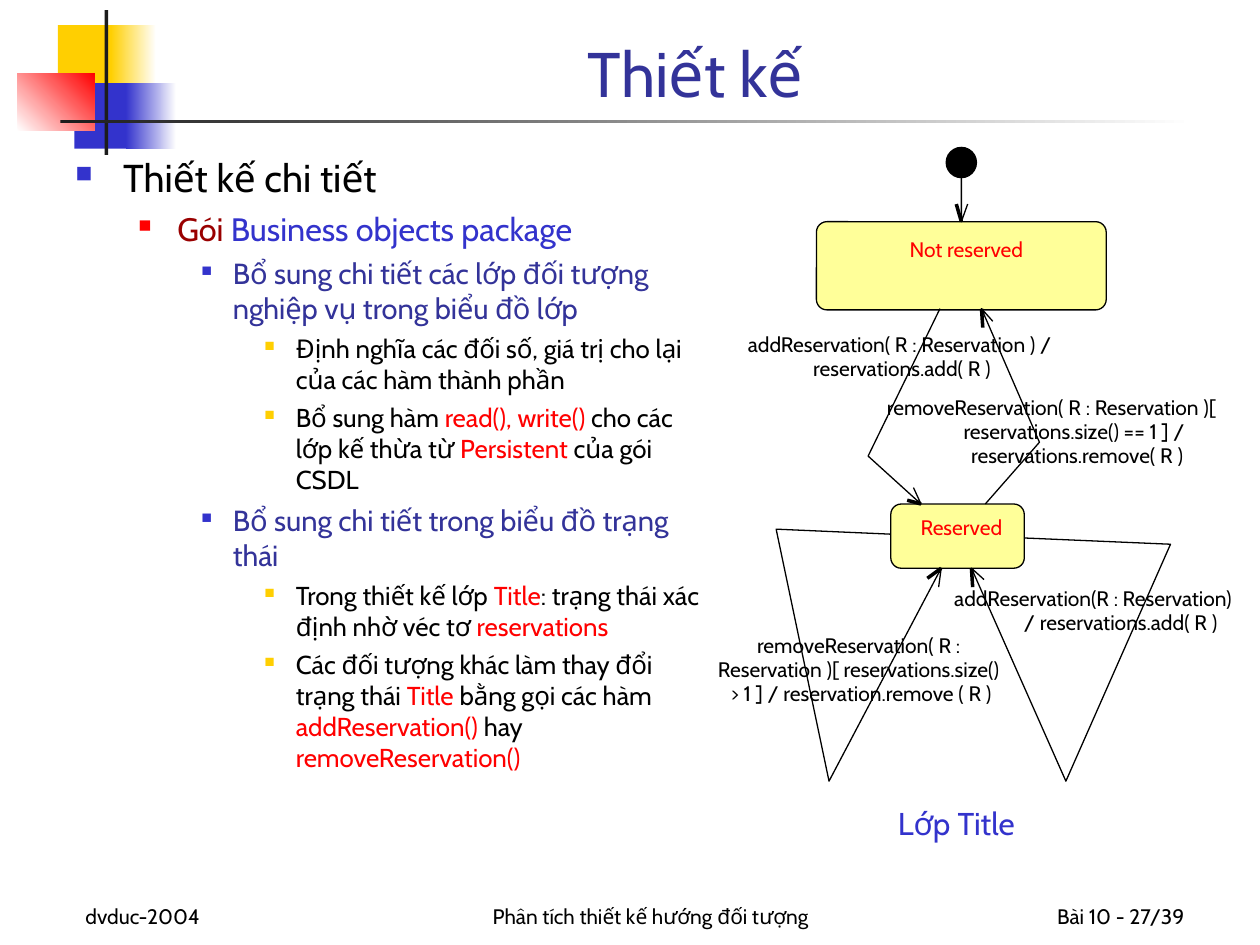
from dataclasses import dataclass
from typing import Optional

from lxml import etree
from pptx import Presentation
from pptx import util as u
from pptx.dml.color import RGBColor
from pptx.enum import shapes, text
from pptx.oxml.ns import qn

FONT = "Cabin"
BLACK = RGBColor(0x00, 0x00, 0x00)
WHITE = RGBColor(0xFF, 0xFF, 0xFF)
CHARCOAL = RGBColor(0x1C, 0x1C, 0x1C)
RED = RGBColor(0xFF, 0x00, 0x00)
MAROON = RGBColor(0x99, 0x00, 0x00)
GOLD = RGBColor(0xFF, 0xCF, 0x01)
BLUE = RGBColor(0x33, 0x33, 0xCC)
NAVY = RGBColor(0x33, 0x33, 0x99)
PALE_YELLOW = RGBColor(0xFF, 0xFF, 0x99)

LEFT, CENTER, RIGHT = text.PP_ALIGN.LEFT, text.PP_ALIGN.CENTER, text.PP_ALIGN.RIGHT
TOP, BOTTOM = text.MSO_ANCHOR.TOP, text.MSO_ANCHOR.BOTTOM
RECT = shapes.MSO_SHAPE.RECTANGLE
ROUNDED = shapes.MSO_SHAPE.ROUNDED_RECTANGLE
LABEL_PITCH = 0.19
LABEL_HEIGHT = 0.2


@dataclass(frozen=True)
class Ornament:
    at: tuple
    start: RGBColor
    end: Optional[RGBColor] = None
    angle: int = 0


@dataclass(frozen=True)
class Level:
    margin: float
    hanging: float
    size: float
    before: float
    bullet: RGBColor
    percent: int


@dataclass(frozen=True)
class State:
    name: str
    at: tuple
    corner: float
    name_at: tuple


@dataclass(frozen=True)
class Transition:
    route: tuple
    barbs: tuple


@dataclass(frozen=True)
class Label:
    top: float
    lines: tuple


ORNAMENTS = (
    Ornament((0.46, 0.2, 0.48, 0.52), GOLD),
    Ornament((0.88, 0.2, 0.36, 0.52), GOLD, WHITE),
    Ornament((0.59, 0.66, 0.46, 0.52), BLUE),
    Ornament((1, 0.66, 0.4, 0.52), BLUE, WHITE),
    Ornament((0.14, 0.58, 0.61, 0.46), WHITE, RED, 45),
    Ornament((0.83, 0.08, 0.03, 1.15), CHARCOAL),
    Ornament((0.48, 0.95, 9, 0.03), CHARCOAL, WHITE),
)
LEVELS = (
    Level(0.38, 0.38, 22.2, 6, BLUE, 60),
    Level(0.81, 0.31, 18.5, 5, RED, 55),
    Level(1.25, 0.25, 16.6, 4.5, BLUE, 50),
    Level(1.75, 0.25, 14.8, 4, GOLD, 55),
)
OUTLINE = (
    (0, [("Thiết kế chi tiết", BLACK)]),
    (1, [("Gói ", MAROON), ("Business objects package", BLUE)]),
    (2, [("Bổ sung chi tiết các lớp đối tượng nghiệp vụ trong biểu đồ lớp", NAVY)]),
    (3, [("Định nghĩa các đối số, giá trị cho lại của các hàm thành phần", BLACK)]),
    (3, [("Bổ sung hàm ", BLACK), ("read(), write()", RED), (" cho các lớp kế thừa từ ", BLACK),
         ("Persistent", RED), (" của gói CSDL", BLACK)]),
    (2, [("Bổ sung chi tiết trong biểu đồ trạng thái", NAVY)]),
    (3, [("Trong thiết kế lớp ", BLACK), ("Title", RED),
         (": trạng thái xác định nhờ véc tơ ", BLACK), ("reservations", RED)]),
    (3, [("Các đối tượng khác làm thay đổi trạng thái ", BLACK), ("Title", RED),
         (" bằng gọi các hàm ", BLACK), ("addReservation()", RED), (" hay ", BLACK),
         ("removeReservation()", RED)]),
)
NOT_RESERVED = State("Not reserved", (6.48, 1.76, 2.3, 0.7), 0.119, (7.16, 1.88, 1.02, 0.2))
RESERVED = State("Reserved", (7.07, 4, 1.06, 0.51), 0.163, (7.27, 4.08, 0.72, 0.2))
INITIAL = Transition(((7.63, 1.4), (7.63, 1.76)), ((7.68, 1.62), (7.59, 1.62)))
TRANSITIONS = (
    Transition(((7.82, 4), (8.25, 3.51), (7.79, 2.45)), ((7.88, 2.55), (7.8, 2.6))),
    Transition(((8.13, 4.27), (9.29, 4.32), (8.46, 6.2), (7.71, 4.51)),
               ((7.81, 4.6), (7.72, 4.66))),
    Transition(((7.07, 4.24), (6.16, 4.2), (6.58, 6.2), (7.47, 4.51)),
               ((7.45, 4.66), (7.36, 4.59))),
    Transition(((7.46, 2.45), (6.89, 3.62), (7.31, 4)), ((7.25, 3.87), (7.2, 3.97))),
)
LABELS = (
    Label(2.63, ((5.8, 2.72, "addReservation( R : Reservation ) / "),
                 (6.36, 1.6, "reservations.add( R )"))),
    Label(3.13, ((6.88, 2.97, "removeReservation( R : Reservation )[ "),
                 (7.53, 2.03, "reservations.size() == 1 ] / "),
                 (7.6, 1.9, "reservations.remove( R )"))),
    Label(4.65, ((7.43, 2.53, "addReservation(R : Reservation) "),
                 (8.04, 1.71, "/ reservations.add( R )"))),
    Label(5.02, ((5.91, 1.85, "removeReservation( R : "),
                 (5.55, 2.57, "Reservation )[ reservations.size() "),
                 (5.66, 2.35, "> 1 ] / reservation.remove ( R )"))),
)


def apply(target, formats: dict) -> None:
    for name, value in formats.items():
        setattr(target, name, value)


def inches(values: tuple) -> list:
    return [u.Inches(value) for value in values]


def add_run(paragraph, words: str, size: float, color: RGBColor) -> None:
    run = paragraph.add_run()
    run.text = words
    apply(run.font, {"name": FONT, "size": u.Pt(size)})
    run.font.color.rgb = color


def add_words(slide, at: tuple, words: str, size: float, color: RGBColor,
              align=CENTER, anchor=TOP, wrap: bool = False, inset: bool = False) -> None:
    frame = slide.shapes.add_textbox(*inches(at)).text_frame
    side, edge = inches((0.1, 0.05) if inset else (0, 0))
    apply(frame, {"word_wrap": wrap, "vertical_anchor": anchor, "margin_left": side,
                  "margin_right": side, "margin_top": edge, "margin_bottom": edge})
    frame.paragraphs[0].alignment = align
    add_run(frame.paragraphs[0], words, size, color)


def add_ornament(slide, ornament: Ornament) -> None:
    block = slide.shapes.add_shape(RECT, *inches(ornament.at))
    block.shadow.inherit = False
    block.line.fill.background()
    if ornament.end is None:
        block.fill.solid()
        block.fill.fore_color.rgb = ornament.start
        return
    block.fill.gradient()
    block.fill.gradient_angle = ornament.angle
    for stop, position, color in zip(block.fill.gradient_stops, (0, 1),
                                     (ornament.start, ornament.end)):
        stop.position = position
        stop.color.rgb = color


def set_bullet(paragraph, level: Level) -> None:
    properties = paragraph._p.get_or_add_pPr()
    properties.set("marL", str(u.Inches(level.margin)))
    properties.set("indent", str(-u.Inches(level.hanging)))
    color = etree.SubElement(properties, qn("a:buClr"))
    etree.SubElement(color, qn("a:srgbClr"), val=str(level.bullet))
    etree.SubElement(properties, qn("a:buSzPct"), val=str(level.percent * 1000))
    etree.SubElement(properties, qn("a:buChar"), char="■")


def add_outline(slide) -> None:
    frame = slide.shapes.add_textbox(*inches((0.5, 1.17, 5.17, 5.92))).text_frame
    frame.word_wrap = True
    for index, (depth, runs) in enumerate(OUTLINE):
        paragraph = frame.add_paragraph() if index else frame.paragraphs[0]
        level = LEVELS[depth]
        set_bullet(paragraph, level)
        apply(paragraph, {"level": depth, "space_before": u.Pt(level.before if index else 0)})
        for words, color in runs:
            add_run(paragraph, words, level.size, color)


def add_node(slide, kind, at: tuple, color: RGBColor):
    node = slide.shapes.add_shape(kind, *inches(at))
    node.shadow.inherit = False
    node.fill.solid()
    node.fill.fore_color.rgb = color
    outline_hairline(node)
    return node


def outline_hairline(drawn) -> None:
    drawn.line.color.rgb = BLACK
    drawn.line.width = u.Pt(0)


def add_state(slide, state: State):
    node = add_node(slide, ROUNDED, state.at, PALE_YELLOW)
    node.adjustments[0] = state.corner
    add_words(slide, state.name_at, state.name, 12, RED)
    return node


def add_transition(slide, transition: Transition):
    tip = transition.route[-1]
    start, *rest = [inches(point) for point in transition.route + transition.barbs[:1]]
    builder = slide.shapes.build_freeform(*start, scale=1.0)
    builder.add_line_segments(rest, close=False)
    trail = builder.convert_to_shape()
    trail.shadow.inherit = False
    trail.fill.background()
    outline_hairline(trail)
    barb = slide.shapes.add_connector(shapes.MSO_CONNECTOR.STRAIGHT,
                                      *inches(tip + transition.barbs[1]))
    etree.SubElement(barb._element.spPr, qn("a:effectLst"))
    outline_hairline(barb)
    return barb


def add_label(slide, label: Label) -> None:
    for row, (left, width, words) in enumerate(label.lines):
        at = (left, label.top + row * LABEL_PITCH, width, LABEL_HEIGHT)
        add_words(slide, at, words, 12, BLACK)


def main() -> None:
    deck = Presentation()
    apply(deck, {"slide_width": u.Inches(10), "slide_height": u.Inches(7.5)})
    slide = deck.slides.add_slide(deck.slide_layouts[6])
    for ornament in ORNAMENTS:
        add_ornament(slide, ornament)
    for left, width, words, align in ((0.58, 2.08, "dvduc-2004", LEFT),
                                      (3.25, 3.83, "Phân tích thiết kế hướng đối tượng", CENTER),
                                      (7.42, 2.08, "Bài 10 - 27/39", RIGHT)):
        add_words(slide, (left, 6.92, width, 0.5), words, 12, BLACK, align, BOTTOM, True, True)
    add_words(slide, (1.26, 0.08, 8.52, 0.84), "Thiết kế", 36, NAVY, CENTER, BOTTOM, True, True)
    add_outline(slide)
    add_node(slide, shapes.MSO_SHAPE.OVAL, (7.51, 1.17, 0.24, 0.24), BLACK)
    not_reserved = add_state(slide, NOT_RESERVED)
    add_state(slide, RESERVED)
    add_transition(slide, INITIAL).begin_connect(not_reserved, 0)
    for transition in TRANSITIONS:
        add_transition(slide, transition)
    for label in LABELS:
        add_label(slide, label)
    add_words(slide, (6.99, 6.33, 1.2, 0.4), "Lớp Title", 18, BLUE, inset=True)
    deck.save("out.pptx")


if __name__ == "__main__":
    main()
